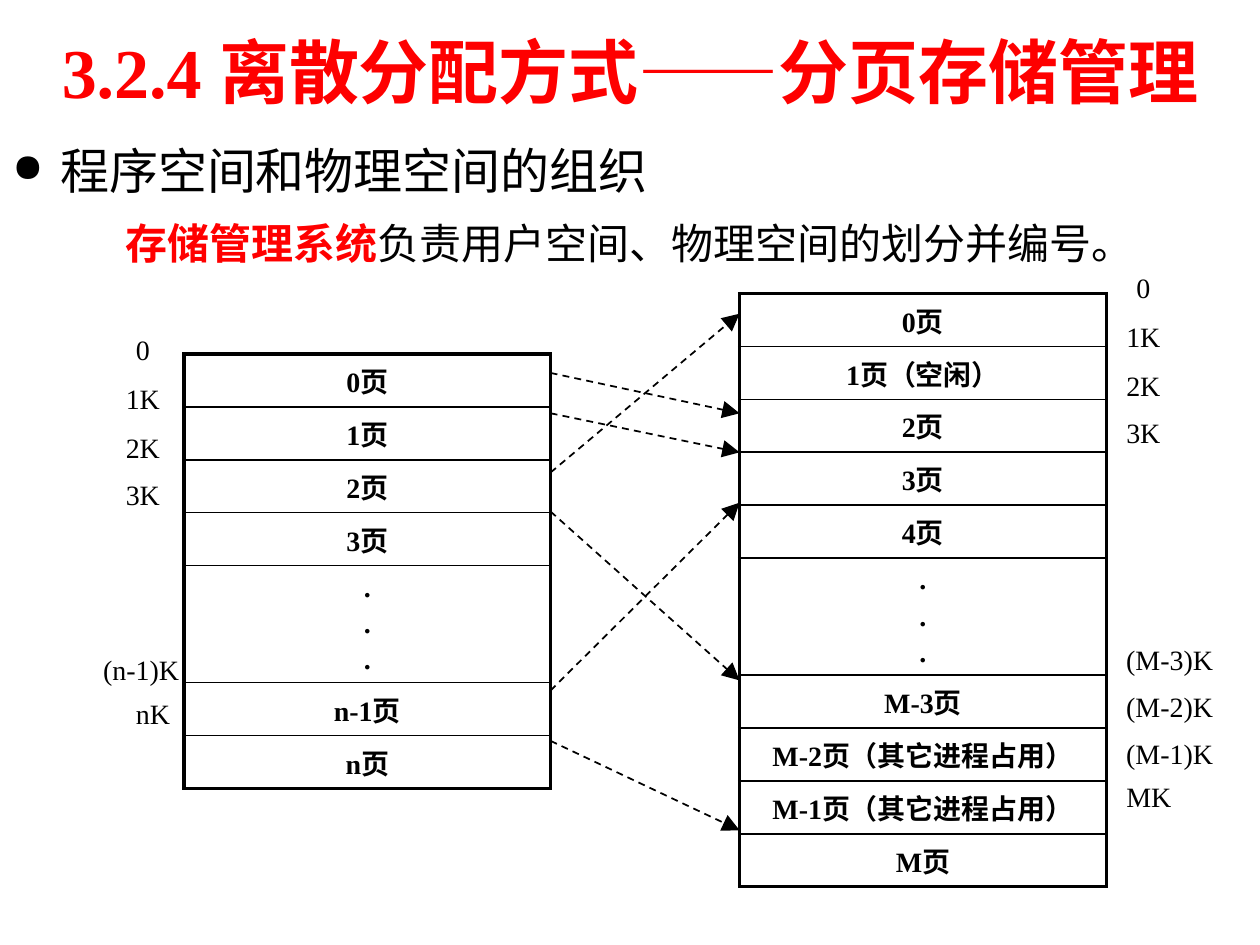
from dataclasses import dataclass
from lxml import etree
from pptx import Presentation, util as u
from pptx.dml.color import RGBColor
from pptx.enum import dml, shapes, text
from pptx.oxml.ns import qn


@dataclass(frozen=True)
class Theme:
    font: str = "Times New Roman"
    ink: str = "000000"
    title_ink: str = "FE0000"
    key_ink: str = "FF0000"
    title: int = 40
    head: int = 28
    body: int = 24
    small: int = 16
    thin: float = 1
    thick: float = 2.25


T = Theme()
ROW, DOTS = 0.42, 0.93
MID = text.MSO_ANCHOR.MIDDLE
CENTER = text.PP_ALIGN.CENTER


def assign(item, **values):
    for name, value in values.items():
        setattr(item, name, value)


def add_run(para, words, size, ink=T.ink, bold=False):
    run = para.add_run()
    run.text = words
    assign(run.font, name=T.font, size=u.Pt(size), bold=bold)
    run.font.color.rgb = RGBColor.from_string(ink)


def add_box(slide, box, **frame):
    shape = slide.shapes.add_textbox(*map(u.Inches, box))
    assign(shape.text_frame, word_wrap=True, **frame)
    return shape.text_frame


def add_title(slide, box):
    para = add_box(slide, box, vertical_anchor=MID).paragraphs[0]
    para.alignment = CENTER
    add_run(para, "3.2.4 离散分配方式——分页存储管理", T.title, T.title_ink, True)


def set_indent(para, left, first=0):
    props = para._p.get_or_add_pPr()
    props.set("marL", str(u.Inches(left)))
    props.set("indent", str(u.Inches(first)))
    return props


def add_body(slide, box):
    frame = add_box(slide, box)
    head, note = frame.paragraphs[0], frame.add_paragraph()
    note.space_before = u.Pt(10)
    props = set_indent(head, 0.38, -0.38)
    etree.SubElement(props, qn("a:buSzPct"), val="80000")
    etree.SubElement(props, qn("a:buChar"), char="●")
    set_indent(note, 0.9)
    add_run(head, "程序空间和物理空间的组织", T.head)
    add_run(note, "存储管理系统", T.body, T.key_ink, True)
    add_run(note, "负责用户空间、物理空间的划分并编号。", T.body)


def set_edges(cell, **widths):
    """Draw the cell's borders; the widths come in the order L, R, T, B."""
    props = cell._tc.get_or_add_tcPr()
    for spot, (side, width) in enumerate(widths.items()):
        line = etree.Element(qn(f"a:ln{side}"), w=str(u.Pt(width)))
        fill = etree.SubElement(line, qn("a:solidFill"))
        etree.SubElement(fill, qn("a:srgbClr"), val=T.ink)
        props.insert(spot, line)


def add_pages(slide, box, pages):
    """Stack the pages in one column; "." stands for the row of dots."""
    left, top, width = box
    tall = [DOTS if page == "." else ROW for page in pages]
    grid = slide.shapes.add_table(
        len(pages), 1, *map(u.Inches, (left, top, width, sum(tall)))).table
    assign(grid, first_row=False, horz_banding=False)
    grid.columns[0].width = u.Inches(width)
    last = len(pages) - 1
    for i, page in enumerate(pages):
        grid.rows[i].height = u.Inches(tall[i])
        cell = grid.cell(i, 0)
        assign(cell, vertical_anchor=MID, margin_top=u.Inches(0.02),
               margin_bottom=u.Inches(0.02))
        cell.fill.background()
        set_edges(cell, L=T.thick, R=T.thick,
                  T=T.thin if i else T.thick,
                  B=T.thin if i < last else T.thick)
        frame = cell.text_frame
        for n in range(3 if page == "." else 1):
            para = frame.add_paragraph() if n else frame.paragraphs[0]
            para.alignment = CENTER
            if n:
                para.space_before = u.Pt(3)
            add_run(para, page, T.small, bold=True)


def add_marks(slide, left, top, marks):
    """Write address marks, each given as (words, shift right, shift down)."""
    for words, right, down in marks:
        wide = 0.65 if len(words) < 3 else 1.06
        frame = add_box(slide, (left + right, top + down, wide, 0.37))
        add_run(frame.paragraphs[0], words, T.small)


def add_links(slide, left, top, width, links):
    """Join the two spaces with dashed arrows, given as (start, end) drops."""
    for start, end in links:
        link = slide.shapes.add_connector(
            shapes.MSO_CONNECTOR.STRAIGHT,
            *map(u.Inches, (left, top + start, left + width, top + end)))
        link.line.color.rgb = RGBColor.from_string(T.ink)
        assign(link.line, width=u.Pt(T.thin), dash_style=dml.MSO_LINE.DASH)
        etree.SubElement(link.line._ln, qn("a:tailEnd"),
                         type="triangle", w="lg", len="lg")
        etree.SubElement(link._element.spPr, qn("a:effectLst"))


def main():
    deck = Presentation()
    assign(deck, slide_width=u.Inches(10), slide_height=u.Inches(7.5))
    slide = deck.slides.add_slide(deck.slide_layouts[6])
    add_body(slide, (0, 1.07, 9.65, 1.2))
    add_title(slide, (0, 0.05, 10, 1.02))

    user, real, wide = (1.46, 2.81), (5.87, 2.33), 2.91
    add_pages(slide, (*user, wide),
              ["0页", "1页", "2页", "3页", ".", "n-1页", "n页"])
    add_pages(slide, (*real, wide),
              ["0页", "1页（空闲）", "2页", "3页", "4页", ".", "M-3页",
               "M-2页（其它进程占用）", "M-1页（其它进程占用）", "M页"])

    edge = user[0] + wide
    add_links(slide, edge, real[1], real[0] - edge,
              [(0.63, 0.95), (0.95, 1.26), (1.42, 0.16),
               (1.73, 3.07), (3.55, 4.26), (3.15, 1.66)])

    low = [("0", 0.08, 0), ("1K", 0, 0.39), ("2K", 0, 0.78), ("3K", 0, 1.15)]
    add_marks(slide, 0.9, user[1] - 0.22,
              low + [("(n-1)K", -0.18, 2.54), ("nK", 0.08, 2.89)])
    add_marks(slide, 8.84, real[1] - 0.23,
              low + [("(M-3)K", 0, 2.95), ("(M-2)K", 0, 3.32),
                     ("(M-1)K", 0, 3.7), ("MK", 0, 4.04)])
    deck.save("out.pptx")


if __name__ == "__main__":
    main()
